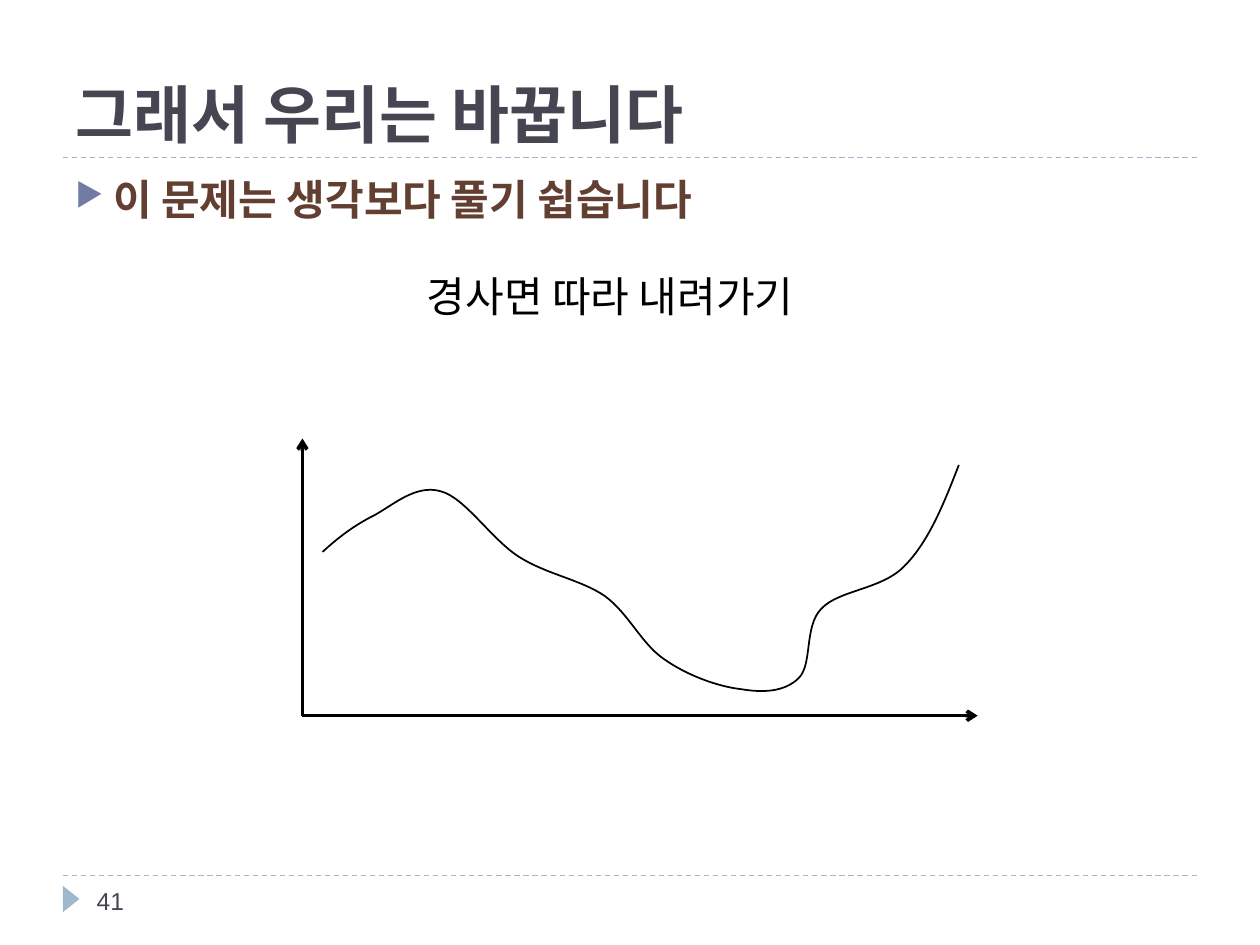
"""Builds a slide on walking downhill along a cost curve."""
from lxml.etree import SubElement
from pptx import Presentation
from pptx.dml.color import RGBColor
from pptx.enum.dml import MSO_LINE
from pptx.enum.shapes import MSO_CONNECTOR, MSO_SHAPE
from pptx.enum.text import MSO_ANCHOR, MSO_AUTO_SIZE
from pptx.oxml.ns import qn
from pptx.util import Pt

SLATE = RGBColor(0x46, 0x46, 0x53)
BROWN = RGBColor(0x63, 0x3F, 0x32)
PALE_BLUE = RGBColor(0x9F, 0xB8, 0xCD)
BLACK = RGBColor(0, 0, 0)
BULLET_COLOR = "727CA3"

TITLE = "그래서 우리는 바꿉니다"
POINT = "이 문제는 생각보다 풀기 쉽습니다"
CAPTION = "경사면 따라 내려가기"
PAGE = "41"

MARGIN, RIGHT = 36, 684
RULE_TOPS = (90, 500.4)
ORIGIN = (172.8, 409)
AXIS_ENDS = ((558.7, 409), (172.8, 250.6))
CURVE_START = (184.3, 315.4)
CURVE_BENDS = [
    ((193, 307.4), (202.3, 300.2), (213.8, 294.5)),
    ((224.6, 288.7), (237.6, 276.5), (252, 280.8)),
    ((265.7, 284.4), (280.8, 308.2), (296.6, 318.2)),
    ((312.5, 328.3), (331.9, 331.2), (345.6, 340.6)),
    ((359.3, 350.6), (366.5, 367.9), (379.4, 376.6)),
    ((392.4, 385.9), (410.4, 392.4), (423.4, 393.8)),
    ((436.3, 396), (448.6, 395.3), (456.5, 387.4)),
    ((464.4, 379.4), (459.4, 357.8), (469.4, 347.8)),
    ((479.5, 337), (504, 337), (517, 323.3)),
    ((530.6, 309.6), (539.3, 288), (547.9, 265.7)),
]


def add_line(slide, start, end, color, width):
    line = slide.shapes.add_connector(
        MSO_CONNECTOR.STRAIGHT, *(Pt(value) for value in (*start, *end)))
    line.line.color.rgb = color
    line.line.width = Pt(width)
    SubElement(line._element.spPr, qn("a:effectLst"))
    return line


def add_text(slide, box, words, size, color, font="Arial", bold=False,
             anchor=MSO_ANCHOR.TOP, wrap=True):
    frame = slide.shapes.add_textbox(*(Pt(value) for value in box)).text_frame
    frame.word_wrap = wrap
    frame.vertical_anchor = anchor
    run = frame.paragraphs[0].add_run()
    run.text = words
    run.font.name = font
    run.font.size = Pt(size)
    run.font.bold = bold
    run.font.color.rgb = color
    return frame


def add_bullet(paragraph, indent):
    props = paragraph._p.get_or_add_pPr()
    props.set("marL", str(Pt(indent)))
    props.set("indent", str(-Pt(indent)))
    color = SubElement(props, qn("a:buClr"))
    SubElement(color, qn("a:srgbClr"), val=BULLET_COLOR)
    SubElement(props, qn("a:buSzPct"), val="76000")
    SubElement(props, qn("a:buChar"), char="▶")


def add_curve(slide, start, bends):
    builder = slide.shapes.build_freeform(*(Pt(value) for value in start))
    builder.add_line_segments(
        [(Pt(x), Pt(y)) for bend in bends for x, y in bend], close=False)
    curve = builder.convert_to_shape()
    route = curve._element.spPr.find(".//" + qn("a:path"))
    segments = route.findall(qn("a:lnTo"))
    for first in range(0, len(segments), 3):
        bezier = SubElement(route, qn("a:cubicBezTo"))
        for segment in segments[first:first + 3]:
            bezier.append(segment[0])
            route.remove(segment)
    curve.shadow.inherit = False
    curve.fill.background()
    curve.line.color.rgb = BLACK
    curve.line.width = Pt(1)


def main():
    deck = Presentation()
    deck.slide_width, deck.slide_height = Pt(720), Pt(540)
    slide = deck.slides.add_slide(deck.slide_layouts[6])

    for top in RULE_TOPS:
        rule = add_line(slide, (MARGIN, top), (RIGHT, top), PALE_BLUE, 0.75)
        rule.line.dash_style = MSO_LINE.DASH

    marker = slide.shapes.add_shape(
        MSO_SHAPE.ISOSCELES_TRIANGLE, Pt(33.1), Pt(509), Pt(15.1), Pt(9.4))
    marker.rotation = 90
    marker.shadow.inherit = False
    marker.fill.solid()
    marker.fill.fore_color.rgb = PALE_BLUE
    marker.line.fill.background()

    width = RIGHT - MARGIN
    add_text(slide, (MARGIN, 12.2, width, 77.8), TITLE, 36, SLATE,
             bold=True, anchor=MSO_ANCHOR.BOTTOM)
    add_text(slide, (48.2, 500.4, 156.2, 28.8), PAGE, 14, SLATE,
             anchor=MSO_ANCHOR.MIDDLE)
    body = add_text(slide, (MARGIN, 95.8, width, 388.8), POINT, 24, BROWN, bold=True)
    add_bullet(body.paragraphs[0], 21.6)
    caption = add_text(slide, (236.9, 151.2, 246.2, 36), CAPTION, 24, BLACK,
                       font="Calibri", wrap=False)
    caption.auto_size = MSO_AUTO_SIZE.SHAPE_TO_FIT_TEXT

    for end in AXIS_ENDS:
        axis = add_line(slide, ORIGIN, end, BLACK, 2)
        SubElement(axis.line._get_or_add_ln(), qn("a:tailEnd"), type="arrow")
    add_curve(slide, CURVE_START, CURVE_BENDS)

    deck.save("out.pptx")


if __name__ == "__main__":
    main()
